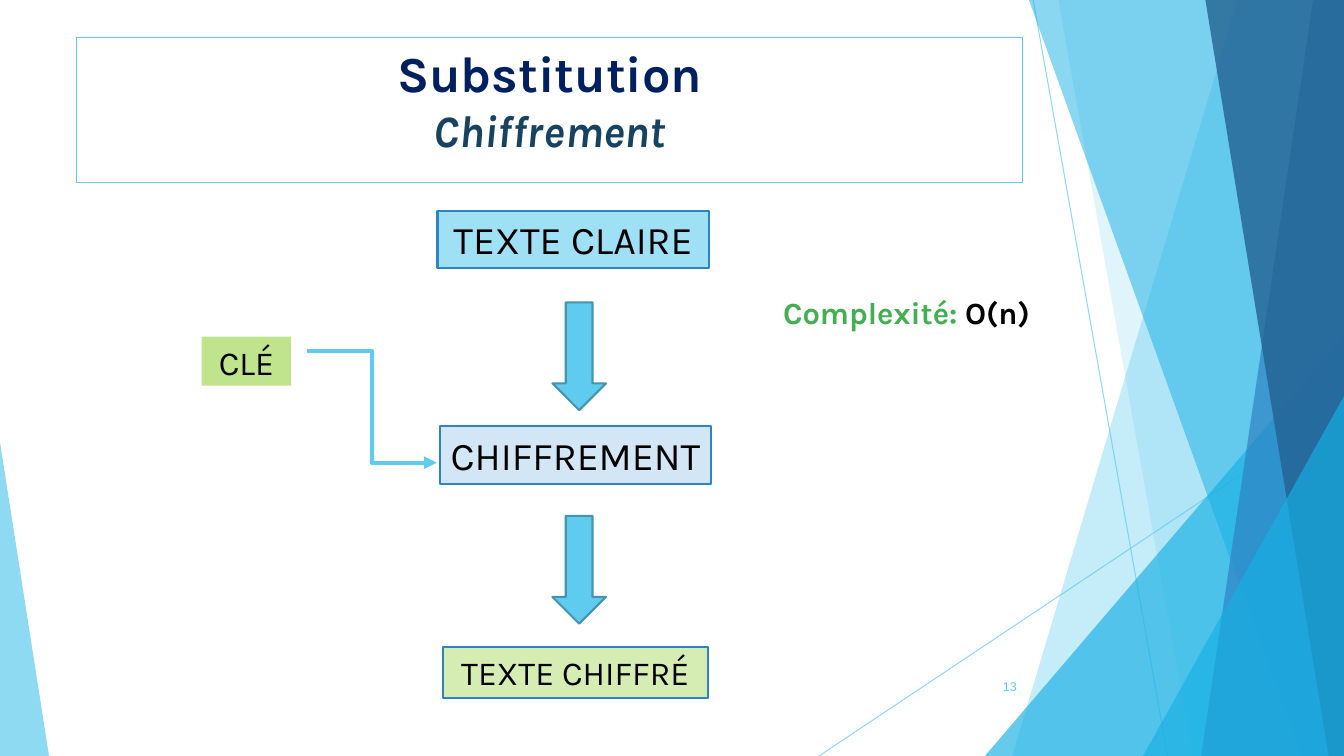
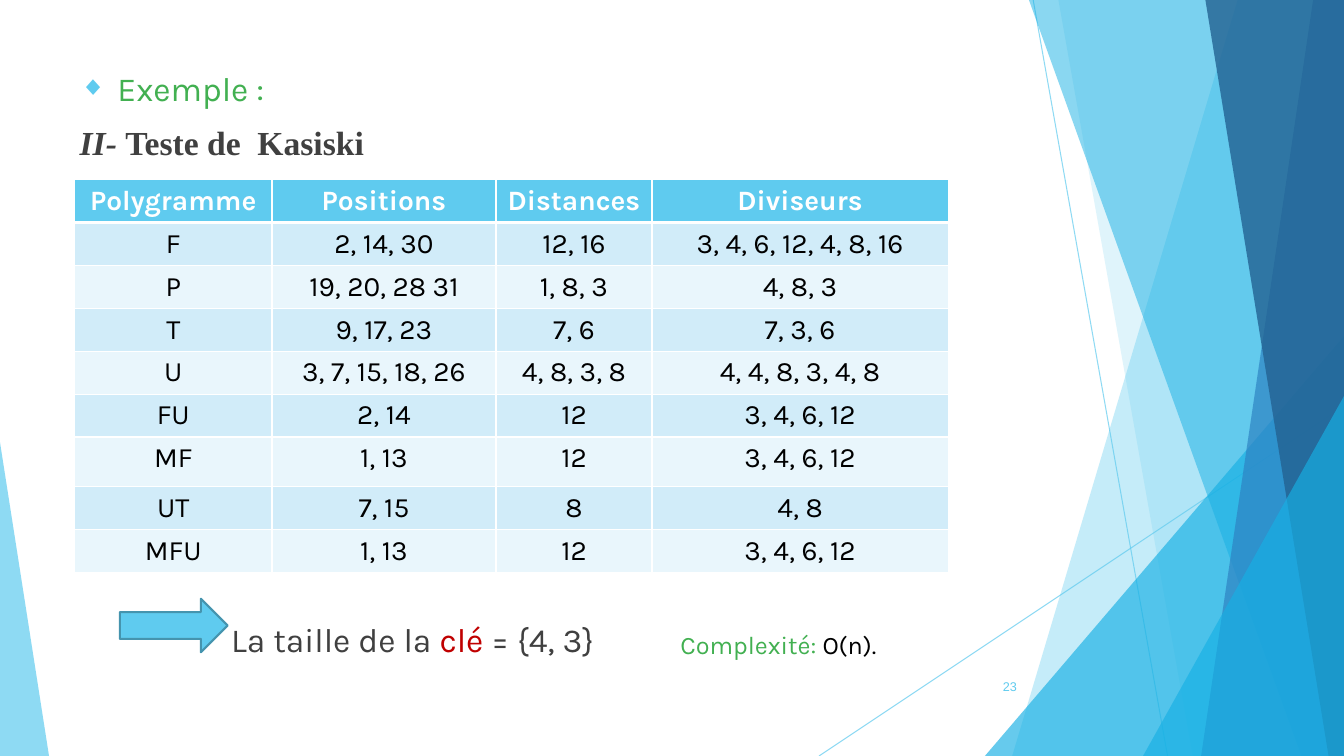
"""Build two slides on substitution ciphers and the Kasiski test."""
import pptx
import pptx.dml.color
import pptx.enum.shapes
import pptx.enum.text
import pptx.oxml.ns
import pptx.util
import lxml.etree

Pt = pptx.util.Pt
RGB = pptx.dml.color.RGBColor
KIND = pptx.enum.shapes.MSO_SHAPE
LINK = pptx.enum.shapes.MSO_CONNECTOR
ALIGN = pptx.enum.text.PP_ALIGN
qn = pptx.oxml.ns.qn
SKY = RGB(0x5F, 0xCB, 0xEF)
CYAN = RGB(0x17, 0xB0, 0xE4)
BLUE = RGB(0x2E, 0x83, 0xC3)
DEEP = RGB(0x23, 0x62, 0x92)
STEEL = RGB(0x45, 0x94, 0xAE)
AQUA = RGB(0x9F, 0xE0, 0xF5)
PALE = RGB(0xD3, 0xE6, 0xF5)
LIME = RGB(0xC0, 0xE3, 0x8D)
MINT = RGB(0xD5, 0xED, 0xB3)
NAVY = RGB(0x00, 0x20, 0x60)
INK = RGB(0x17, 0x42, 0x62)
GREEN = RGB(0x42, 0xB0, 0x51)
RED = RGB(0xC0, 0x00, 0x00)
GREY = RGB(0x40, 0x40, 0x40)
BLACK = RGB(0x00, 0x00, 0x00)
WHITE = RGB(0xFF, 0xFF, 0xFF)
BANDS = [RGB(0xE9, 0xF6, 0xFC), RGB(0xD1, 0xEC, 0xF9)]

PAD = {"margin_" + side: Pt(3.6) for side in ("left", "top", "right", "bottom")}
FRAME = {
    **PAD,
    "word_wrap": True,
    "auto_size": pptx.enum.text.MSO_AUTO_SIZE.NONE,
    "vertical_anchor": pptx.enum.text.MSO_ANCHOR.TOP,
}
BOLD = {"bold": True}
SLANT = {"bold": True, "italic": True}
TIMES = {"name": "Times New Roman", "bold": True}


def write(frame, paras, align=ALIGN.LEFT, gap=0):
    for key, val in FRAME.items():
        setattr(frame, key, val)
    for i, runs in enumerate(paras):
        par = frame.add_paragraph() if i else frame.paragraphs[0]
        par.alignment = align
        par.space_before = Pt(gap if i else 0)
        for text, size, color, form in runs:
            run = par.add_run()
            run.text = text
            look = {"name": "Karla", "size": Pt(size), "bold": False, **form}
            for key, val in look.items():
                setattr(run.font, key, val)
            run.font.color.rgb = color


def paint(shape, fill=None, edge=None, wide=0.75, alpha=100):
    if fill is not None:
        shape.fill.solid()
        shape.fill.fore_color.rgb = fill
    if edge is None:
        shape.line.fill.background()
    else:
        shape.line.color.rgb = edge
        shape.line.width = Pt(wide)
    props = shape.element.spPr
    if alpha < 100:
        for tint in props.iter(qn("a:srgbClr")):
            lxml.etree.SubElement(tint, qn("a:alpha")).set("val", str(alpha * 1000))
    lxml.etree.SubElement(props, qn("a:effectLst"))


deck = pptx.Presentation()
deck.slide_width, deck.slide_height = Pt(960), Pt(540)
flow = deck.slides.add_slide(deck.slide_layouts[5])
test = deck.slides.add_slide(deck.slide_layouts[1])

decor = []
for ends in [(738, 0, 834, 540), (960, 290, 585, 540)]:
    ray = flow.shapes.add_connector(LINK.STRAIGHT, *map(Pt, ends))
    paint(ray, edge=SKY, alpha=70)
    decor.append(ray)
facets = [
    (SKY, 36, [(884, 0), (960, 0), (960, 540), (723, 540)]),
    (SKY, 20, [(756, 0), (960, 0), (960, 540), (852, 540)]),
    (CYAN, 66, [(703.5, 540), (960, 240), (960, 540)]),
    (CYAN, 50, [(735, 0), (960, 0), (960, 540), (929.5, 540)]),
    (BLUE, 70, [(938, 0), (960, 0), (960, 540), (858, 540)]),
    (DEEP, 80, [(861, 0), (960, 0), (960, 540), (949, 540)]),
    (CYAN, 66, [(816.5, 540), (960, 283), (960, 540)]),
    (SKY, 70, [(0, 540), (0, 316), (35, 540)]),
]
for fill, alpha, spots in facets:
    first, *rest = [(Pt(x), Pt(y)) for x, y in spots]
    pen = flow.shapes.build_freeform(*first)
    pen.add_line_segments(rest)
    facet = pen.convert_to_shape()
    paint(facet, fill, alpha=alpha)
    decor.append(facet)
for i, part in enumerate(decor):
    part.element.xpath(".//p:cNvPr")[0].set("id", str(100 + i))
    deck.slide_master.shapes.element.append(part.element)

title = flow.shapes.title
title.left, title.top, title.width, title.height = map(Pt, (54.7, 26.6, 676, 103.7))
paint(title, edge=SKY)
write(title.text_frame, [
    [("Substitution", 36, NAVY, BOLD)],
    [("Chiffrement", 32, INK, SLANT)],
], ALIGN.CENTER)

steps = [
    ("TEXTE CLAIRE", 28, AQUA, BLUE, (312.5, 150.5, 193.7, 41)),
    ("CLÉ", 24, LIME, None, (144, 240.5, 64, 35)),
    ("CHIFFREMENT", 28, PALE, BLUE, (314.6, 304.6, 193, 41)),
    ("TEXTE CHIFFRÉ", 24, MINT, BLUE, (316.2, 462.2, 189.4, 36.7)),
]
for text, size, fill, edge, area in steps:
    step = flow.shapes.add_shape(KIND.RECTANGLE, *map(Pt, area))
    paint(step, fill, edge, 1.5)
    write(step.text_frame, [[(text, size, BLACK, {})]], ALIGN.CENTER)

arrows = [
    (flow, KIND.DOWN_ARROW, (394.6, 216, 38.2, 77)),
    (flow, KIND.DOWN_ARROW, (394.6, 368.5, 38.2, 77)),
    (test, KIND.RIGHT_ARROW, (85.6, 427.7, 77, 38.2)),
]
for slide, kind, area in arrows:
    arrow = slide.shapes.add_shape(kind, *map(Pt, area))
    paint(arrow, SKY, STEEL, 1.5)

elbow = flow.shapes.add_connector(LINK.ELBOW, *map(Pt, (219.6, 250.6, 312, 330.5)))
paint(elbow, edge=SKY, wide=3)
lxml.etree.SubElement(elbow.line._get_or_add_ln(), qn("a:tailEnd")).set("type", "triangle")

holder = test.shapes.title.element
holder.getparent().remove(holder)
body = test.placeholders[1]
body.left, body.top, body.width, body.height = map(Pt, (53.3, 44.6, 676.8, 80))
write(body.text_frame, [
    [("Exemple :", 24, GREEN, {})],
    [("II- ", 24, GREY, {**TIMES, "italic": True}), ("Teste de  Kasiski", 24, GREY, TIMES)],
], gap=10)
props = [par._p.get_or_add_pPr() for par in body.text_frame.paragraphs]
for prop, dent in zip(props, (27, 0)):
    prop.set("marL", str(Pt(dent)))
    prop.set("indent", str(-Pt(dent)))
tint = lxml.etree.SubElement(props[0], qn("a:buClr"))
lxml.etree.SubElement(tint, qn("a:srgbClr")).set("val", str(SKY))
lxml.etree.SubElement(props[0], qn("a:buSzPct")).set("val", "80000")
lxml.etree.SubElement(props[0], qn("a:buChar")).set("char", "◆")
lxml.etree.SubElement(props[1], qn("a:buNone"))

rows = [
    ("Polygramme", "Positions", "Distances", "Diviseurs"),
    ("F", "2, 14, 30", "12, 16", "3, 4, 6, 12, 4, 8, 16"),
    ("P", "19, 20, 28 31", "1, 8, 3", "4, 8, 3"),
    ("T", "9, 17, 23", "7, 6", "7, 3, 6"),
    ("U", "3, 7, 15, 18, 26", "4, 8, 3, 8", "4, 4, 8, 3, 4, 8"),
    ("FU", "2, 14", "12", "3, 4, 6, 12"),
    ("MF", "1, 13", "12", "3, 4, 6, 12"),
    ("UT", "7, 15", "8", "4, 8"),
    ("MFU", "1, 13", "12", "3, 4, 6, 12"),
]
area = map(Pt, (53.3, 128.3, 624, 280.4))
grid = test.shapes.add_table(len(rows), len(rows[0]), *area).table
for col, wide in zip(grid.columns, (141, 160, 111.5, 211.5)):
    col.width = Pt(wide)
for r, row in enumerate(rows):
    grid.rows[r].height = Pt(35.6 if row[0] == "MF" else 30.6)
    for c, text in enumerate(row):
        cell = grid.cell(r, c)
        for key, val in PAD.items():
            setattr(cell, key, val)
        for side in "LRTB":
            thick = 3 if (r, side) in [(0, "B"), (1, "T")] else 1
            edge = lxml.etree.SubElement(cell._tc.get_or_add_tcPr(), qn("a:ln" + side))
            edge.set("w", str(Pt(thick)))
            solid = lxml.etree.SubElement(edge, qn("a:solidFill"))
            lxml.etree.SubElement(solid, qn("a:srgbClr")).set("val", str(WHITE))
        cell.fill.solid()
        cell.fill.fore_color.rgb = BANDS[r % 2] if r else SKY
        run = (text, 20, BLACK if r else WHITE, {} if r else BOLD)
        write(cell.text_frame, [[run]], ALIGN.CENTER)

size = [
    ("La taille de la ", 24, GREY, {}),
    ("clé", 24, RED, {}),
    (" = {4, 3}", 24, GREY, {}),
]
notes = [
    (flow, (555.8, 206, 195, 36),
     [("Complexité: ", 22, GREEN, BOLD), ("O(n)", 22, BLACK, BOLD)], ALIGN.LEFT),
    (test, (161.5, 438.5, 290, 36), size, ALIGN.LEFT),
    (test, (482.4, 445.7, 195, 30),
     [("Complexité: ", 18, GREEN, {}), ("O(n).", 18, BLACK, {})], ALIGN.LEFT),
]
for slide, page in [(flow, "13"), (test, "23")]:
    run = (page, 9, SKY, {"name": "Arial"})
    notes.append((slide, (690, 481.7, 40, 17.5), [run], ALIGN.RIGHT))
for slide, area, runs, align in notes:
    note = slide.shapes.add_textbox(*map(Pt, area))
    write(note.text_frame, [runs], align)

deck.save("out.pptx")
